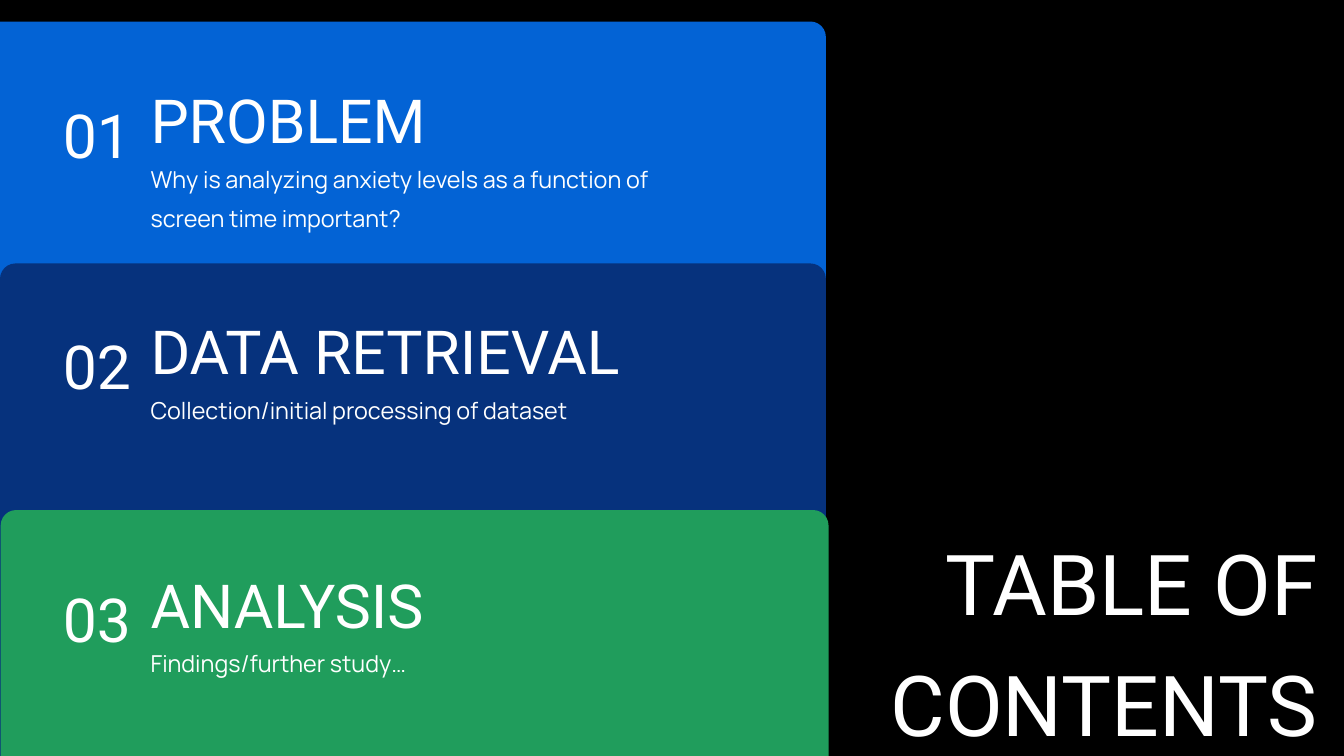
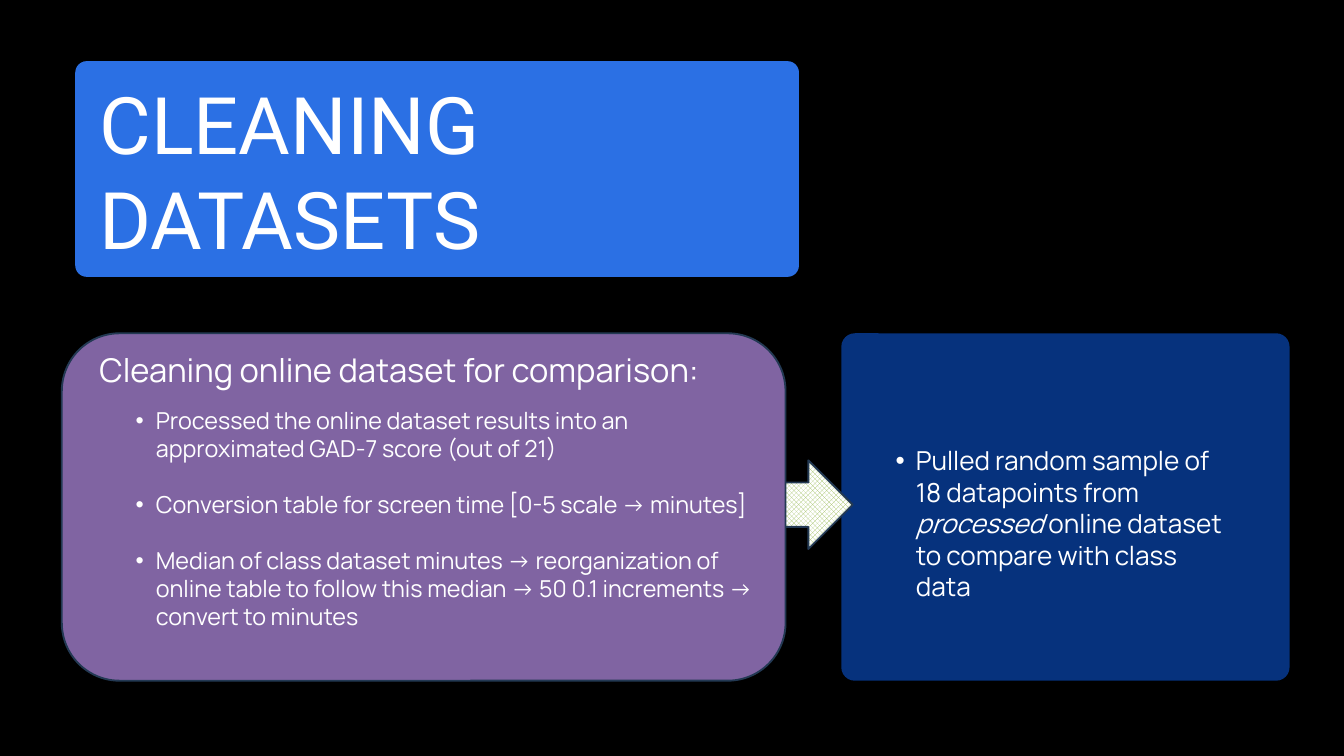
from typing import NamedTuple

from lxml.etree import SubElement
from pptx import Presentation
from pptx.dml.color import RGBColor
from pptx.enum.dml import MSO_PATTERN
from pptx.enum.shapes import MSO_SHAPE
from pptx.enum.text import MSO_ANCHOR, MSO_AUTO_SIZE, PP_ALIGN
from pptx.oxml.ns import qn
from pptx.shapes.autoshape import Shape
from pptx.slide import Slide
from pptx.text.text import TextFrame, _Paragraph
from pptx.util import Inches, Pt

BLACK = RGBColor(0, 0, 0)
WHITE = RGBColor(255, 255, 255)
BLUE = RGBColor(0x03, 0x63, 0xD5)
NAVY = RGBColor(0x06, 0x32, 0x7D)
GREEN = RGBColor(0x20, 0x9D, 0x5C)
SKY = RGBColor(0x2B, 0x70, 0xE4)
PURPLE = RGBColor(0x80, 0x64, 0xA2)
LIME = RGBColor(0x9B, 0xBB, 0x59)
EDGE = RGBColor(0x23, 0x39, 0x53)
HEAD = "Roboto"
BODY = "Manrope"


class Box(NamedTuple):
    left: float
    top: float
    width: float
    height: float


class Style(NamedTuple):
    font: str
    size: float
    spacing: float = 1.0
    align: PP_ALIGN = PP_ALIGN.LEFT


class Panel(NamedTuple):
    box: Box
    color: RGBColor
    radius: float


class Topic(NamedTuple):
    name: str
    detail: str
    top: float
    lines: int
    panel: Panel


TOPICS = [
    Topic("PROBLEM", "Why is analyzing anxiety levels as a function of screen time important?",
          1.02, 2, Panel(Box(-0.23, 0.32, 12.52, 7.71), BLUE, 0.23)),
    Topic("DATA RETRIEVAL", "Collection/initial processing of dataset",
          4.46, 1, Panel(Box(0, 3.92, 12.29, 7.71), NAVY, 0.23)),
    Topic("ANALYSIS", "Findings/further study…",
          8.23, 1, Panel(Box(0.01, 7.59, 12.32, 7.74), GREEN, 0.23)),
]
STEPS = [
    "Processed the online dataset results into an approximated GAD-7 score (out of 21)",
    "Conversion table for screen time [0-5 scale → minutes]",
    "Median of class dataset minutes → reorganization of online table to follow "
    "this median → 50 0.1 increments → convert to minutes",
]
SAMPLE = ["Pulled random sample of 18 datapoints from ", "processed",
          " online dataset to compare with class data"]


def start(deck: Presentation) -> Slide:
    slide = deck.slides.add_slide(deck.slide_layouts[5])
    slide.background.fill.solid()
    slide.background.fill.fore_color.rgb = BLACK
    return slide


def add_form(slide: Slide, kind: MSO_SHAPE, box: Box) -> Shape:
    shape = slide.shapes.add_shape(kind, *map(Inches, box))
    shape.shadow.inherit = False
    return shape


def add_panel(slide: Slide, panel: Panel) -> Shape:
    shape = add_form(slide, MSO_SHAPE.ROUNDED_RECTANGLE, panel.box)
    shape.adjustments[0] = panel.radius / min(panel.box.width, panel.box.height)
    shape.fill.solid()
    shape.fill.fore_color.rgb = panel.color
    shape.line.fill.background()
    return shape


def outline(shape: Shape) -> None:
    shape.line.color.rgb = EDGE
    shape.line.width = Pt(2)


def trim(frame: TextFrame) -> None:
    frame.margin_left = frame.margin_right = 0
    frame.margin_top = frame.margin_bottom = 0


def format_text(frame: TextFrame, style: Style) -> None:
    frame.word_wrap = True
    frame.auto_size = MSO_AUTO_SIZE.SHAPE_TO_FIT_TEXT
    frame.vertical_anchor = MSO_ANCHOR.TOP
    for para in frame.paragraphs:
        para.alignment = style.align
        para.line_spacing = style.spacing
        for run in para.runs:
            run.font.name = style.font
            run.font.size = Pt(style.size)
            run.font.color.rgb = WHITE


def add_text(slide: Slide, text: str, box: Box, style: Style) -> TextFrame:
    frame = slide.shapes.add_textbox(*map(Inches, box)).text_frame
    frame.text = text
    trim(frame)
    format_text(frame, style)
    return frame


def set_title(slide: Slide, text: str, box: Box, style: Style) -> None:
    title = slide.shapes.title
    title.left, title.top, title.width, title.height = map(Inches, box)
    title.text_frame.text = text
    trim(title.text_frame)
    format_text(title.text_frame, style)
    title.element.getparent().append(title.element)


def add_bullet(para: _Paragraph) -> None:
    props = para._p.get_or_add_pPr()
    props.set("marL", str(Inches(0.59)))
    props.set("indent", str(Inches(-0.3)))
    color = SubElement(props, qn("a:buClr"))
    SubElement(color, qn("a:srgbClr"), val=str(WHITE))
    SubElement(props, qn("a:buFont"), typeface="Arial")
    SubElement(props, qn("a:buChar"), char="•")


def draw_contents(deck: Presentation) -> None:
    slide = start(deck)
    for topic in TOPICS:
        add_panel(slide, topic.panel)
    for count, topic in enumerate(TOPICS, 1):
        add_text(slide, f"{count:02}", Box(0.53, topic.top, 1.42, 1.09),
                 Style(HEAD, 65, 1.4, PP_ALIGN.RIGHT))
        add_text(slide, topic.name, Box(2.24, topic.top, 9, 1.31), Style(HEAD, 65, 1.2))
        add_text(slide, topic.detail, Box(2.24, topic.top + 1.27, 7.69, 0.59 * topic.lines),
                 Style(BODY, 25, 1.4))
    set_title(slide, "TABLE OF CONTENTS", Box(12.52, 7.61, 7.09, 3.64),
              Style(HEAD, 90, 1.2, PP_ALIGN.RIGHT))


def draw_cleaning(deck: Presentation) -> None:
    slide = start(deck)
    add_panel(slide, Panel(Box(1.12, 0.91, 10.77, 3.21), SKY, 0.17))
    add_panel(slide, Panel(Box(12.52, 4.96, 6.67, 5.17), NAVY, 0.2))
    set_title(slide, "CLEANING DATASETS", Box(1.48, 1.12, 10.42, 2.86), Style(HEAD, 85))

    arrow = add_form(slide, MSO_SHAPE.NOTCHED_RIGHT_ARROW, Box(11.36, 6.85, 1.33, 1.32))
    arrow.fill.patterned()
    arrow.fill.pattern = MSO_PATTERN.PERCENT_50
    arrow.fill.fore_color.rgb = LIME
    arrow.fill.back_color.rgb = WHITE
    outline(arrow)
    outline(add_panel(slide, Panel(Box(0.92, 4.96, 10.77, 5.17), PURPLE, 0.86)))

    add_text(slide, "Cleaning online dataset for comparison:", Box(1.48, 5.2, 9.66, 0.59),
             Style(BODY, 35))
    steps = add_text(slide, "\n".join(STEPS), Box(1.73, 6.05, 9.66, 3.37), Style(BODY, 25))
    for para in steps.paragraphs:
        para.space_after = Pt(30)
        add_bullet(para)
    steps.paragraphs[-1].space_after = Pt(0)

    sample = slide.shapes.add_textbox(*map(Inches, Box(12.94, 6.57, 5.55, 2.46))).text_frame
    para = sample.paragraphs[0]
    for part in SAMPLE:
        para.add_run().text = part
    para.runs[1].font.italic = True
    format_text(sample, Style(BODY, 28))
    add_bullet(para)


def main() -> None:
    deck = Presentation()
    deck.slide_width, deck.slide_height = Inches(20), Inches(11.25)
    draw_contents(deck)
    draw_cleaning(deck)
    deck.save("out.pptx")


if __name__ == "__main__":
    main()
